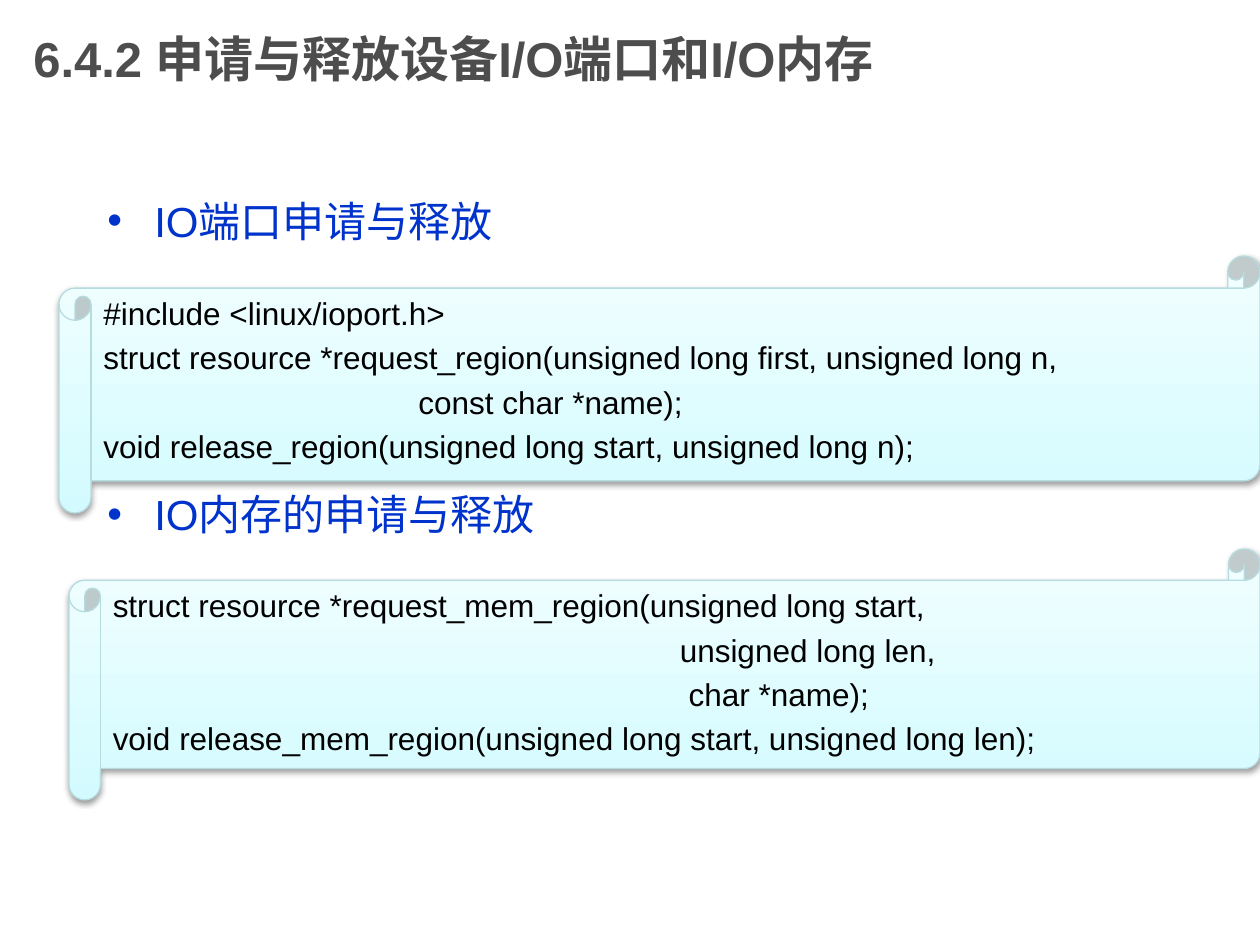
from lxml import etree
from pptx import Presentation
from pptx import util as u
from pptx.dml import color
from pptx.enum import shapes, text
from pptx.oxml import ns

PX = 914400 // 126
BLUE, GREY, BLACK = "0033CC", "4D4D4D", "000000"
PALE, DEEP, EDGE = "F2FEFF", "D3FBFF", "B6DCDF"


def px(n):
    return u.Emu(n * PX)


def rgb(code):
    return color.RGBColor.from_string(code)


def put(obj, vals):
    for name, val in vals.items():
        setattr(obj, name, val)


def add_node(parent, tag, **vals):
    return etree.SubElement(parent, ns.qn(tag), **vals)


def write(par, line, size, tint, bold=False):
    run = par.add_run()
    run.text = line
    put(run.font, {"name": "Arial", "size": u.Pt(size), "bold": bold})
    run.font.color.rgb = rgb(tint)


def indent(par, left, first=0):
    props = par._p.get_or_add_pPr()
    props.set("marL", str(px(left)))
    props.set("indent", str(px(first)))
    return props


def add_box(slide, box, anchor):
    frame = slide.shapes.add_textbox(*map(px, box)).text_frame
    put(frame, {"word_wrap": True, "vertical_anchor": anchor})
    return frame


def add_title(slide, line):
    frame = add_box(slide, (21, 0, 945, 116), text.MSO_ANCHOR.MIDDLE)
    write(frame.paragraphs[0], line, 28, GREY, True)


def add_list(slide, items):
    """Bulleted heads, each with its gap above in points."""
    frame = add_box(slide, (95, 189, 1071, 651), text.MSO_ANCHOR.TOP)
    for i, (line, gap) in enumerate(items):
        par = frame.add_paragraph() if i else frame.paragraphs[0]
        par.space_before = u.Pt(gap)
        props = indent(par, 47, -47)
        add_node(props, "a:buFont", typeface="Arial")
        add_node(props, "a:buChar", char="•")
        write(par, line, 24, BLUE)


def add_shadow(shape):
    fx = add_node(shape._element.spPr, "a:effectLst")
    cast = add_node(fx, "a:outerShdw", blurRad=str(u.Pt(3.1)),
                    dist=str(u.Pt(1.6)), dir="5400000", rotWithShape="0")
    tint = add_node(cast, "a:srgbClr", val=BLACK)
    add_node(tint, "a:alpha", val="38000")


def add_scroll(slide, box, lines):
    """Scroll with code lines, each with its left indent in px."""
    shape = slide.shapes.add_shape(
        shapes.MSO_SHAPE.HORIZONTAL_SCROLL, *map(px, box))
    # Pale to deep cyan, thin edge, soft shadow
    shape.fill.gradient()
    shape.fill.gradient_angle = 90
    for stop, tint in zip(shape.fill.gradient_stops, (DEEP, PALE)):
        stop.color.rgb = rgb(tint)
    shape.line.color.rgb = rgb(EDGE)
    shape.line.width = u.Pt(0.75)
    add_shadow(shape)
    # Code
    frame = shape.text_frame
    put(frame, {"word_wrap": True, "vertical_anchor": text.MSO_ANCHOR.TOP})
    for i, (line, left) in enumerate(lines):
        par = frame.add_paragraph() if i else frame.paragraphs[0]
        put(par, {"alignment": text.PP_ALIGN.LEFT, "space_before": u.Pt(3.6)})
        indent(par, left)
        write(par, line, 18, BLACK)


def main():
    prs = Presentation()
    put(prs, {"slide_width": px(1260), "slide_height": px(945)})
    slide = prs.slides.add_slide(prs.slide_layouts[6])

    # Title and heads
    add_title(slide, "6.4.2 申请与释放设备I/O端口和I/O内存")
    add_list(slide, [("IO端口申请与释放", 0), ("IO内存的申请与释放", 139)])

    # Code scrolls
    add_scroll(slide, (59, 256, 1201, 257), [
        ("#include <linux/ioport.h>", 0),
        ("struct resource *request_region(unsigned long first, "
         "unsigned long n,", 0),
        ("const char *name);", 315),
        ("void release_region(unsigned long start, unsigned long n);", 0)])
    add_scroll(slide, (69, 549, 1191, 251), [
        ("struct resource *request_mem_region(unsigned long start,", 0),
        ("unsigned long len,", 567),
        ("char *name);", 576),
        ("void release_mem_region(unsigned long start, "
         "unsigned long len);", 0)])

    prs.save("out.pptx")


if __name__ == "__main__":
    main()
